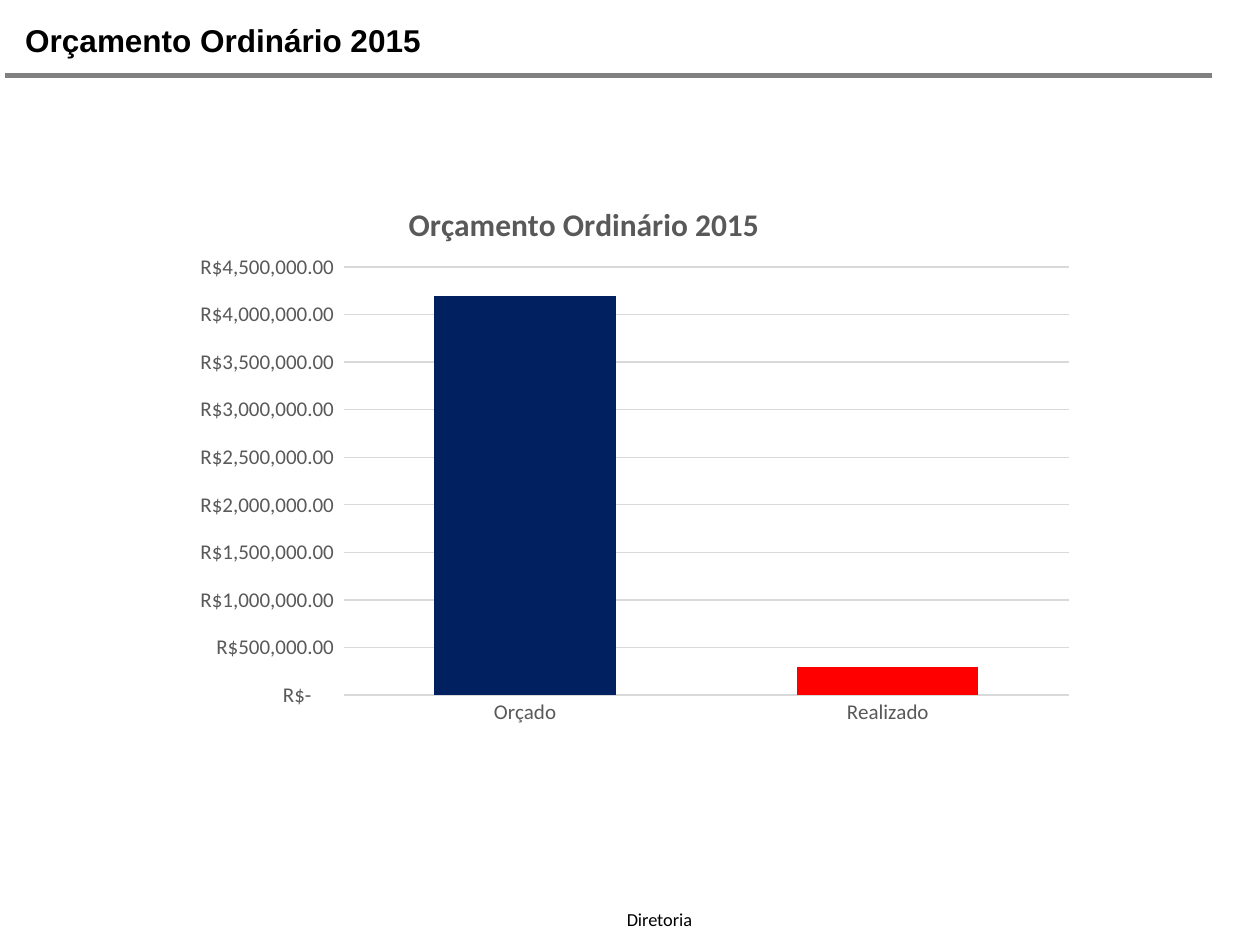
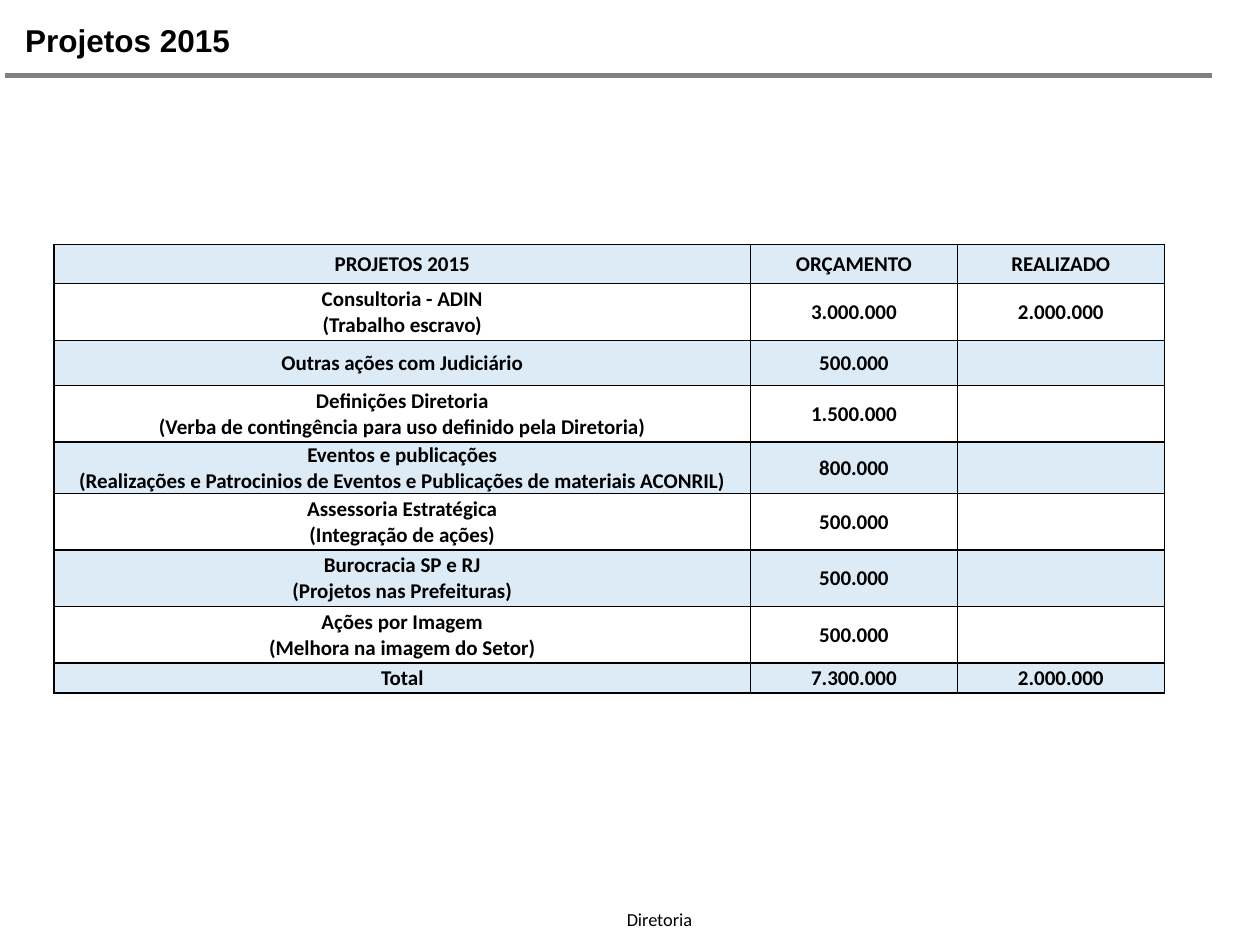
from copy import deepcopy

from lxml import etree
from pptx import Presentation
from pptx import util as u
from pptx.chart.data import CategoryChartData
from pptx.dml.color import RGBColor
from pptx.enum import chart as ch, shapes, text
from pptx.oxml import parse_xml
from pptx.oxml.ns import nsdecls, qn
from pptx.util import Cm, Pt

BLACK = RGBColor(0x00, 0x00, 0x00)
WHITE = RGBColor(0xFF, 0xFF, 0xFF)
RULE_GRAY = RGBColor(0x80, 0x80, 0x80)
TEXT_GRAY = RGBColor(0x59, 0x59, 0x59)
GRID_GRAY = RGBColor(0xD9, 0xD9, 0xD9)
PALE_BLUE = RGBColor(0xDD, 0xEB, 0xF7)
NAVY = RGBColor(0x00, 0x20, 0x60)
RED = RGBColor(0xFF, 0x00, 0x00)

TITLE_BOX = (0.51, 0.43, 24.16, 0.89)
FOOTER_BOX = (11.1, 18.16, 4.39, 0.74)
CHART_BOX = (2.9, 3.33, 18.67, 12.6)
TABLE_BOX = (1.09, 4.93, 22.38, 9.04)

REAIS = '_("R$"* #,##0.00_);_("R$"* \\(#,##0.00\\);_("R$"* "-"??_);_(@_)'
BUDGET = [("Orçado", 4200000, NAVY), ("Realizado", 300000, RED)]

COLUMN_WIDTHS = (14.04, 4.17, 4.17)
PROJECTS = [
    (0.79, "PROJETOS 2015", "ORÇAMENTO", "REALIZADO"),
    (1.14, "Consultoria - ADIN\n(Trabalho escravo)", "3.000.000", "2.000.000"),
    (0.91, "Outras ações com Judiciário", "500.000", ""),
    (1.14, "Definições Diretoria\n(Verba de contingência para uso definido pela Diretoria)", "1.500.000", ""),
    (0.79, "Eventos e publicações\n(Realizações e Patrocinios de Eventos e Publicações de materiais ACONRIL)", "800.000", ""),
    (1.14, "Assessoria Estratégica\n(Integração de ações)", "500.000", ""),
    (1.14, "Burocracia SP e RJ\n(Projetos nas Prefeituras)", "500.000", ""),
    (1.14, "Ações por Imagem\n(Melhora na imagem do Setor)", "500.000", ""),
    (0.61, "Total", "7.300.000", "2.000.000"),
]


def set_font(font, size, color, name="Calibri", bold=False):
    """Apply size, colour, typeface and weight to a font."""
    font.size, font.name, font.bold = Pt(size), name, bold
    font.color.rgb = color


def write(p, words, align=text.PP_ALIGN.CENTER, **style):
    """Write words into a paragraph, line breaks included, in one format."""
    p.text = words.replace("\n", "\v")
    p.alignment = align
    for r in p.runs:
        set_font(r.font, **style)
    for br in p._p.findall(qn("a:br")):
        br.append(deepcopy(p.runs[0]._r.rPr))


def add_text(s, box, words, margins=(0, 0), **style):
    """Add a wrapped text box with horizontal and vertical margins."""
    tf = s.shapes.add_textbox(*map(Cm, box)).text_frame
    tf.word_wrap = True
    tf.margin_left = tf.margin_right = Cm(margins[0])
    tf.margin_top = tf.margin_bottom = Cm(margins[1])
    write(tf.paragraphs[0], words, **style)
    return tf


def add_page(prs, title):
    """Add a slide with the shared title, rule and footer."""
    s = prs.slides.add_slide(prs.slide_layouts[6])
    rule = s.shapes.add_connector(
        shapes.MSO_CONNECTOR.STRAIGHT, Cm(0.1), Cm(1.52), Cm(24.43), Cm(1.52))
    rule.line.color.rgb, rule.line.width = RULE_GRAY, Pt(3.2)
    etree.SubElement(rule._element.spPr, qn("a:effectLst"))
    add_text(s, TITLE_BOX, title, align=text.PP_ALIGN.LEFT,
             size=18, color=BLACK, name="Arial", bold=True)
    footer = add_text(s, FOOTER_BOX, "Diretoria", margins=(0.25, 0.15),
                      size=10.5, color=BLACK)
    footer.auto_size = text.MSO_AUTO_SIZE.SHAPE_TO_FIT_TEXT
    return s


def set_layout(parent, index, **places):
    """Place a chart part by fractions of the chart area."""
    for old in parent.findall(qn("c:layout")):
        parent.remove(old)
    target = '<c:layoutTarget val="inner"/>' if "w" in places else ""
    modes = "".join(f'<c:{k}Mode val="edge"/>' for k in ("x", "y"))
    values = "".join(f'<c:{k} val="{v}"/>' for k, v in places.items())
    parent.insert(index, parse_xml(
        f'<c:layout {nsdecls("c")}><c:manualLayout>{target}{modes}{values}'
        '</c:manualLayout></c:layout>'))


def add_budget_chart(s, box):
    """Add the column chart of budgeted against spent money."""
    data = CategoryChartData(number_format=REAIS)
    data.categories = [name for name, _, _ in BUDGET]
    data.add_series("Series 1", [value for _, value, _ in BUDGET])
    chart = s.shapes.add_chart(
        ch.XL_CHART_TYPE.COLUMN_CLUSTERED, *map(Cm, box), data).chart
    chart.has_legend = False
    set_font(chart.font, 10, BLACK)

    chart.has_title = True
    title = chart.chart_title
    write(title.text_frame.paragraphs[0], "Orçamento Ordinário 2015",
          size=18, color=TEXT_GRAY, bold=True)
    title.include_in_layout = False
    set_layout(title._element, 1, x=0.28, y=0.05)
    set_layout(chart._chartSpace.chart.plotArea, 0, x=0.216, y=0.163, w=0.784, h=0.685)

    plot = chart.plots[0]
    plot.gap_width, plot.overlap, plot.vary_by_categories = 100, -24, False
    for i, (_, _, color) in enumerate(BUDGET):
        fill = plot.series[0].points[i].format.fill
        fill.solid()
        fill.fore_color.rgb = color

    cats, vals = chart.category_axis, chart.value_axis
    for axis in (cats, vals):
        axis.major_tick_mark = axis.minor_tick_mark = ch.XL_TICK_MARK.NONE
        set_font(axis.tick_labels.font, 12, TEXT_GRAY)
    cats.format.line.color.rgb, cats.format.line.width = GRID_GRAY, Pt(1)
    vals.format.line.fill.background()
    vals.minimum_scale, vals.maximum_scale, vals.major_unit = 0, 4500000, 500000
    grid = vals.major_gridlines.format.line
    grid.color.rgb, grid.width = GRID_GRAY, Pt(0.75)
    vals.tick_labels.number_format = REAIS
    vals.tick_labels.number_format_is_linked = False


def style_cell(cell, words, fill):
    """Give a cell its borders, fill, margins and centred bold text."""
    tc_pr = cell._tc.get_or_add_tcPr()
    for side in "LRTB":
        tc_pr.append(parse_xml(
            f'<a:ln{side} {nsdecls("a")} w="{Pt(1)}"><a:solidFill>'
            f'<a:srgbClr val="{BLACK}"/></a:solidFill></a:ln{side}>'))
    cell.fill.solid()
    cell.fill.fore_color.rgb = fill
    cell.margin_left = cell.margin_right = cell.margin_top = Cm(0.02)
    cell.margin_bottom = 0
    cell.vertical_anchor = text.MSO_ANCHOR.MIDDLE
    p = cell.text_frame.paragraphs[0]
    if words:
        write(p, words, size=12, color=BLACK, bold=True)
    else:
        p.font.size = Pt(12)


def add_project_table(s, box):
    """Add the banded table of projects with budget and spending."""
    table = s.shapes.add_table(
        len(PROJECTS), len(COLUMN_WIDTHS), *map(Cm, box)).table
    table.first_row = table.horz_banding = False
    for column, width in zip(table.columns, COLUMN_WIDTHS):
        column.width = Cm(width)
    for i, (height, *words) in enumerate(PROJECTS):
        table.rows[i].height = Cm(height)
        for j, word in enumerate(words):
            style_cell(table.cell(i, j), word, WHITE if i % 2 else PALE_BLUE)


def main():
    """Build both slides and save them."""
    prs = Presentation()
    prs.slide_width, prs.slide_height = u.Cm(25.4), u.Cm(19.05)
    add_budget_chart(add_page(prs, "Orçamento Ordinário 2015"), CHART_BOX)
    add_project_table(add_page(prs, "Projetos 2015"), TABLE_BOX)
    prs.save("out.pptx")


if __name__ == "__main__":
    main()
